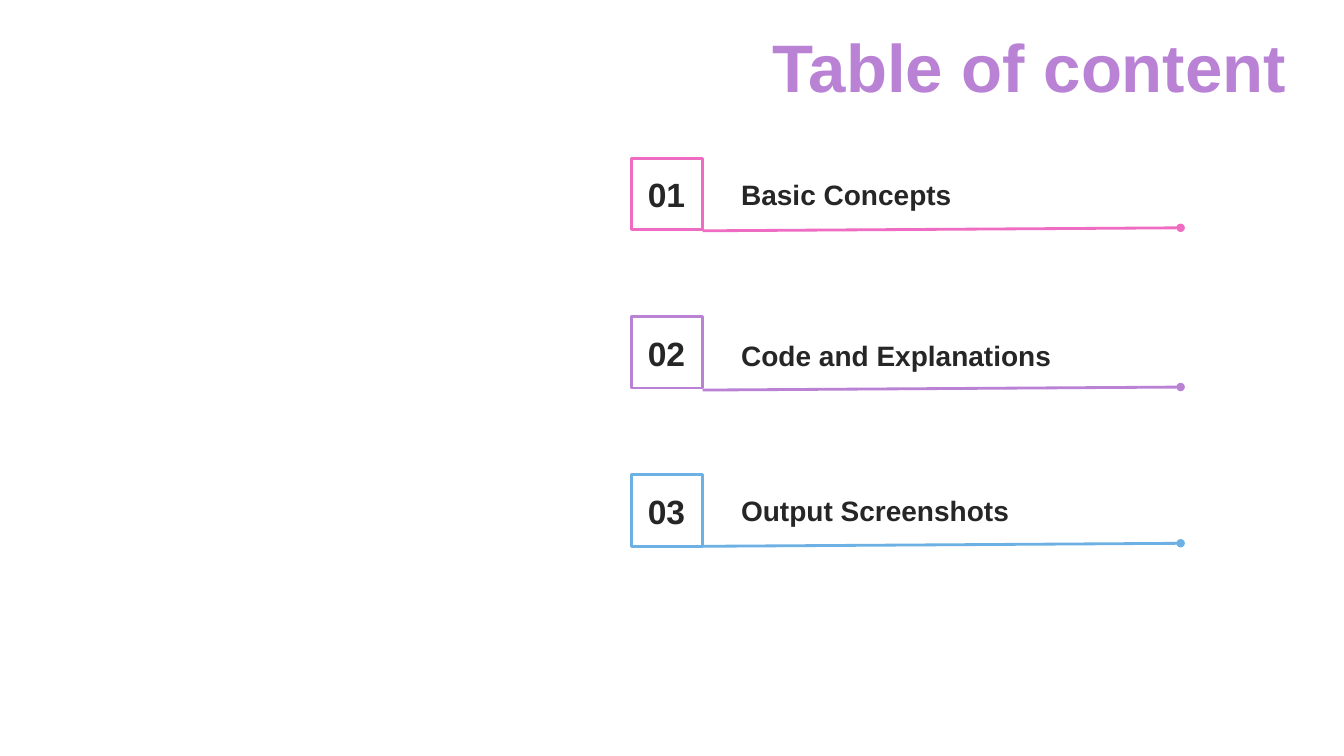
import pptx
import pptx.util
import pptx.dml.color
import pptx.enum.shapes
import pptx.enum.text
import pptx.oxml
import pptx.oxml.ns
from dataclasses import dataclass

Inches = pptx.util.Inches
Align = pptx.enum.text.PP_ALIGN
Anchor = pptx.enum.text.MSO_ANCHOR


@dataclass(frozen=True)
class Theme:
    font: str = "Arial"
    paper: str = "FFFFFF"
    ink: str = "262626"
    pink: str = "EE6CC1"
    purple: str = "B982D5"
    blue: str = "6DB0E4"
    title_size: int = 48
    number_size: int = 24
    label_size: int = 20
    line_width: int = 2


THEME = Theme()

# Number, label, accent, then the drop of label and rule below the square's top
ENTRIES = [
    ("01", "Basic Concepts", THEME.pink, 0.14, 0.72),
    ("02", "Code and Explanations", THEME.purple, 0.17, 0.73),
    ("03", "Output Screenshots", THEME.blue, 0.14, 0.71),
]


def rgb(value):
    return pptx.dml.color.RGBColor.from_string(value)


def set_all(target, values):
    for name, value in values.items():
        setattr(target, name, value)


def add_text(page, box, text, size, color, align=Align.LEFT,
             anchor=Anchor.TOP, side_inset=0.12):
    frame = page.shapes.add_textbox(*map(Inches, box)).text_frame
    set_all(frame, {
        "word_wrap": True,
        "auto_size": pptx.enum.text.MSO_AUTO_SIZE.SHAPE_TO_FIT_TEXT,
        "vertical_anchor": anchor,
        "margin_left": Inches(side_inset),
        "margin_right": Inches(side_inset),
        "margin_top": Inches(0.05),
        "margin_bottom": Inches(0.05),
    })
    para = frame.paragraphs[0]
    para.alignment = align
    span = para.add_run()
    span.text = text
    set_all(span.font, {"name": THEME.font, "size": pptx.util.Pt(size), "bold": True})
    span.font.color.rgb = rgb(color)


def style_line(line, color):
    line.color.rgb = rgb(color)
    line.width = pptx.util.Pt(THEME.line_width)


def add_rule(page, start, end, color):
    """Draw a line that ends in a dot."""
    rule = page.shapes.add_connector(
        pptx.enum.shapes.MSO_CONNECTOR.STRAIGHT, *map(Inches, (*start, *end)))
    style_line(rule.line, color)
    qn = pptx.oxml.ns.qn
    properties = rule.line._get_or_add_ln()
    properties.append(properties.makeelement(qn("a:tailEnd"), {"type": "oval"}))
    shape_properties = properties.getparent()
    shape_properties.append(shape_properties.makeelement(qn("a:effectLst"), {}))


def add_square(page, left, top, side, color):
    square = page.shapes.add_shape(
        pptx.enum.shapes.MSO_SHAPE.RECTANGLE, *map(Inches, (left, top, side, side)))
    square.shadow.inherit = False
    square.fill.solid()
    square.fill.fore_color.rgb = rgb(THEME.paper)
    style_line(square.line, color)


def add_entry(page, left, top, width, entry):
    number, label, color, label_drop, rule_drop = entry
    side = 0.71
    add_text(page, (left + 0.97, top + label_drop, 3.82, 0.44),
             label, THEME.label_size, THEME.ink)
    add_rule(page, (left + side, top + rule_drop),
             (left + width, top + rule_drop - 0.03), color)
    add_square(page, left, top, side, color)
    add_text(page, (left + 0.04, top + 0.11, 0.62, 0.5),
             number, THEME.number_size, THEME.ink, Align.CENTER)


def add_contents(page, left, top, width, pitch):
    for index, entry in enumerate(ENTRIES):
        add_entry(page, left, top + index * pitch, width, entry)


def add_title(page, box):
    add_text(page, box, "Table of content", THEME.title_size, THEME.purple,
             Align.RIGHT, Anchor.MIDDLE, side_inset=0.1)


def main():
    deck = pptx.Presentation()
    set_all(deck, {"slide_width": Inches(13.33), "slide_height": Inches(7.5)})
    page = deck.slides.add_slide(deck.slide_layouts[6])
    add_title(page, (6.67, 0.2, 6.19, 0.91))
    add_contents(page, left=6.26, top=1.57, width=5.45, pitch=1.57)
    deck.save("out.pptx")


if __name__ == "__main__":
    main()
